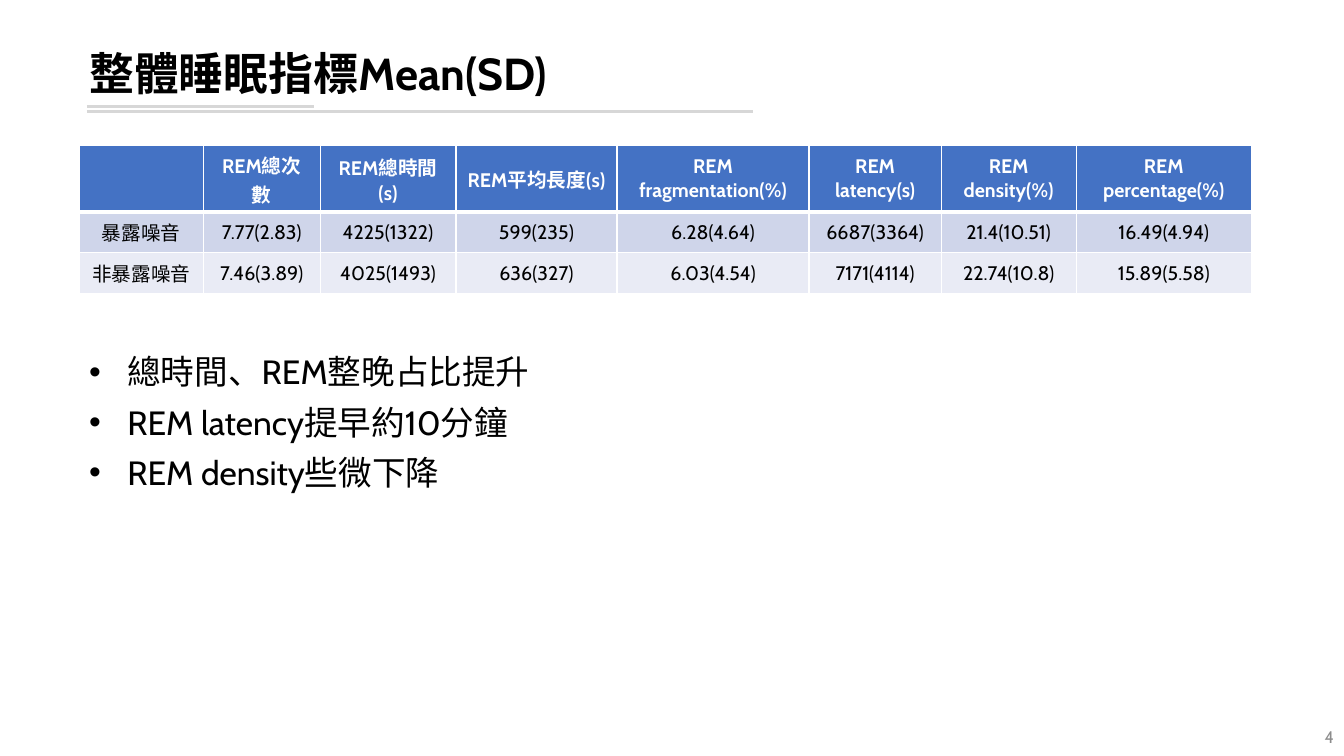
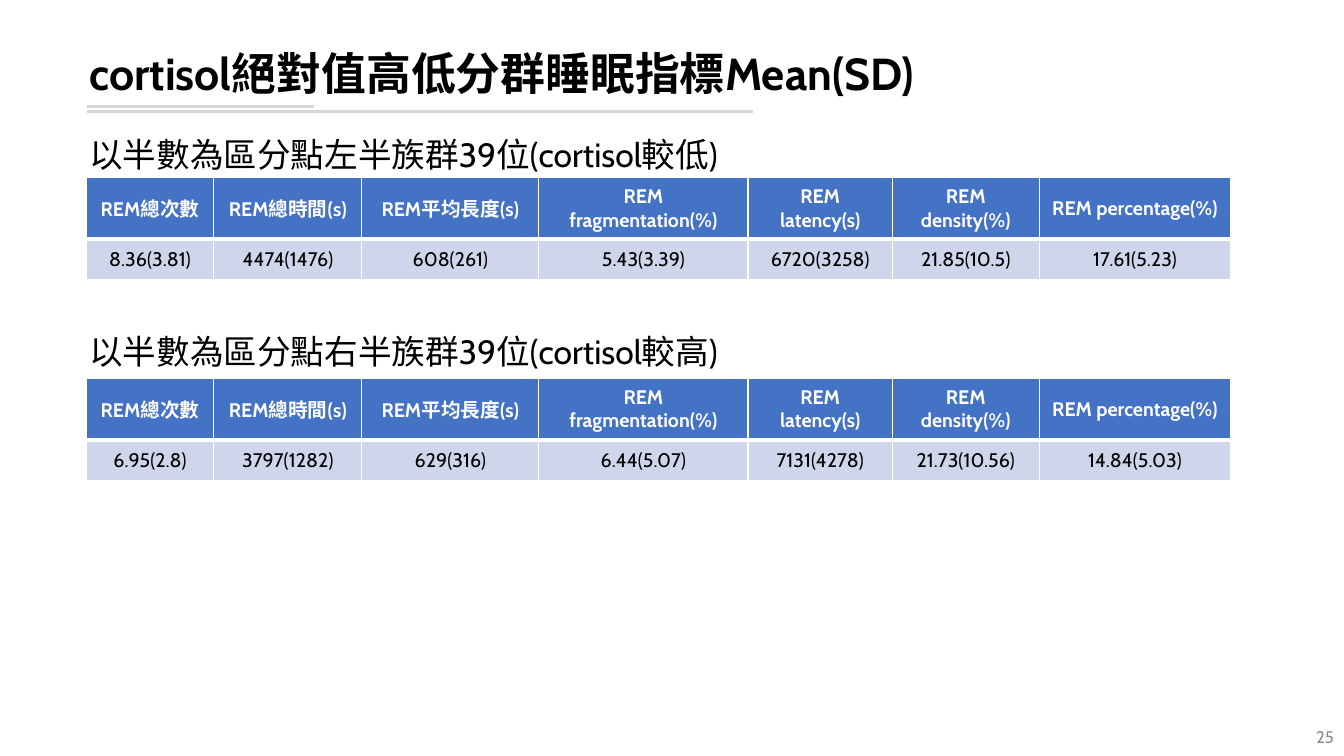
from dataclasses import dataclass

from lxml import etree
from pptx import Presentation
from pptx.dml.color import RGBColor
from pptx.enum.shapes import MSO_CONNECTOR
from pptx.enum.text import MSO_ANCHOR, PP_ALIGN
from pptx.oxml.ns import qn
from pptx.util import Cm, Pt

STRAIGHT = MSO_CONNECTOR.STRAIGHT
TOP, MIDDLE = MSO_ANCHOR.TOP, MSO_ANCHOR.MIDDLE
LEFT, CENTER, RIGHT = PP_ALIGN.LEFT, PP_ALIGN.CENTER, PP_ALIGN.RIGHT


@dataclass(frozen=True)
class Theme:
    font: str = "Cabin"
    ink: str = "000000"
    white: str = "FFFFFF"
    rule: str = "D7D7D7"
    number: str = "8C8C8C"
    header: str = "4472C4"
    bands: tuple = ("CFD5EA", "E9EBF5")
    title_size: int = 32
    body_size: int = 24
    table_size: int = 14
    number_size: int = 12


THEME = Theme()

# Boxes are left, top, width, height in centimetres
SLIDE_WIDTH, SLIDE_HEIGHT = 33.87, 19.05
MARGIN, CONTENT_WIDTH = 2.0, 29.54
TITLE_BOX = (MARGIN, 1.02, CONTENT_WIDTH, 1.8)
NUMBER_BOX = (32.13, 18.06, 1.74, 1.02)
RULE_LEFT = 2.19
RULES = ((2.82, 16.79), (2.68, 5.73))  # top, length

# Header rows hold two lines of text
ROW_HEIGHT = 1.03
OVERALL_HEADER_HEIGHT, GROUP_HEADER_HEIGHT = 1.67, 1.55

METRICS = ("REM總次數", "REM總時間(s)", "REM平均長度(s)", "REM fragmentation(%)",
           "REM latency(s)", "REM density(%)", "REM percentage(%)")

OVERALL_WIDTHS = (3.12, 2.95, 3.42, 4.06, 4.84, 3.33, 3.4, 4.42)
OVERALL_ROWS = (
    ("", *METRICS),
    ("暴露噪音", "7.77(2.83)", "4225(1322)", "599(235)", "6.28(4.64)",
     "6687(3364)", "21.4(10.51)", "16.49(4.94)"),
    ("非暴露噪音", "7.46(3.89)", "4025(1493)", "636(327)", "6.03(4.54)",
     "7171(4114)", "22.74(10.8)", "15.89(5.58)"),
)
FINDINGS = ("總時間、REM整晚占比提升", "REM latency提早約10分鐘", "REM density些微下降")

GROUP_WIDTHS = (3.22, 3.73, 4.46, 5.27, 3.64, 3.7, 4.83)
# Caption top, table top, caption, values
GROUPS = (
    (3.36, 4.47, "以半數為區分點左半族群39位(cortisol較低)",
     ("8.36(3.81)", "4474(1476)", "608(261)", "5.43(3.39)",
      "6720(3258)", "21.85(10.5)", "17.61(5.23)")),
    (8.34, 9.53, "以半數為區分點右半族群39位(cortisol較高)",
     ("6.95(2.8)", "3797(1282)", "629(316)", "6.44(5.07)",
      "7131(4278)", "21.73(10.56)", "14.84(5.03)")),
)


def style_font(para, size, color, bold=False):
    font = para.font
    font.name = THEME.font
    font.size = Pt(size)
    font.bold = bold
    font.color.rgb = RGBColor.from_string(color)


def add_bullet(para, indent):
    properties = para._p.get_or_add_pPr()
    properties.set("marL", str(Cm(indent)))
    properties.set("indent", str(-Cm(indent)))
    etree.SubElement(properties, qn("a:buFont"), typeface="Arial")
    etree.SubElement(properties, qn("a:buChar"), char="•")


def add_text(page, box, lines, size, color=THEME.ink, bold=False, align=LEFT,
             anchor=TOP, line_spacing=0.9, space_before=0, bullet_indent=0):
    frame = page.shapes.add_textbox(*map(Cm, box)).text_frame
    frame.word_wrap = True
    frame.vertical_anchor = anchor
    for index, line in enumerate(lines):
        para = frame.add_paragraph() if index else frame.paragraphs[0]
        para.text = line
        para.alignment = align
        para.line_spacing = line_spacing
        para.space_before = Pt(space_before)
        if bullet_indent:
            add_bullet(para, bullet_indent)
        style_font(para, size, color, bold)


def add_rule(page, left, top, length):
    rule = page.shapes.add_connector(
        STRAIGHT, Cm(left), Cm(top), Cm(left + length), Cm(top))
    rule.line.color.rgb = RGBColor.from_string(THEME.rule)
    rule.line.width = Pt(2.25)
    etree.SubElement(rule._element.spPr, qn("a:effectLst"))


def set_borders(cell, top, bottom):
    properties = cell._tc.get_or_add_tcPr()
    for side, width in (("L", 1), ("R", 1), ("T", top), ("B", bottom)):
        line = etree.SubElement(properties, qn(f"a:ln{side}"), w=str(Pt(width)))
        fill = etree.SubElement(line, qn("a:solidFill"))
        etree.SubElement(fill, qn("a:srgbClr"), val=THEME.white)


def add_metric_table(page, left, top, widths, header_height, rows):
    heights = [header_height] + [ROW_HEIGHT] * (len(rows) - 1)
    table = page.shapes.add_table(
        len(rows), len(widths), Cm(left), Cm(top),
        Cm(sum(widths)), Cm(sum(heights))).table
    for column, width in zip(table.columns, widths):
        column.width = Cm(width)
    for row, height in zip(table.rows, heights):
        row.height = Cm(height)
    for row_index, values in enumerate(rows):
        is_header = row_index == 0
        fill = THEME.header if is_header else THEME.bands[(row_index - 1) % 2]
        for column_index, value in enumerate(values):
            cell = table.cell(row_index, column_index)
            # A thick line parts the header from the values
            set_borders(cell, top=3 if row_index == 1 else 1,
                        bottom=3 if is_header else 1)
            cell.fill.solid()
            cell.fill.fore_color.rgb = RGBColor.from_string(fill)
            cell.vertical_anchor = MIDDLE
            para = cell.text_frame.paragraphs[0]
            para.text = value
            para.alignment = CENTER
            style_font(para, THEME.table_size,
                       THEME.white if is_header else THEME.ink, is_header)


def add_page(deck, title, number):
    """Blank page with the shared rules, title and page number."""
    page = deck.slides.add_slide(deck.slide_layouts[6])
    for top, length in RULES:
        add_rule(page, RULE_LEFT, top, length)
    add_text(page, TITLE_BOX, [title], THEME.title_size, bold=True, anchor=MIDDLE)
    add_text(page, NUMBER_BOX, [str(number)], THEME.number_size, THEME.number,
             align=RIGHT, anchor=MIDDLE, line_spacing=1)
    return page


def add_group(page, left, caption_top, table_top, caption, values):
    """Caption with its table of metrics below."""
    add_text(page, (left, caption_top, CONTENT_WIDTH, table_top - caption_top),
             [caption], THEME.body_size, space_before=10)
    add_metric_table(page, left + 0.17, table_top, GROUP_WIDTHS,
                     GROUP_HEADER_HEIGHT, (METRICS, values))


def build_overall_page(deck):
    page = add_page(deck, "整體睡眠指標Mean(SD)", 4)
    add_metric_table(page, MARGIN, 3.67, OVERALL_WIDTHS,
                     OVERALL_HEADER_HEIGHT, OVERALL_ROWS)
    add_text(page, (MARGIN, 8.84, CONTENT_WIDTH, 9.4), FINDINGS, THEME.body_size,
             space_before=10, bullet_indent=0.96)


def build_group_page(deck):
    page = add_page(deck, "cortisol絕對值高低分群睡眠指標Mean(SD)", 25)
    for group in GROUPS:
        add_group(page, MARGIN, *group)


def main():
    deck = Presentation()
    deck.slide_width, deck.slide_height = Cm(SLIDE_WIDTH), Cm(SLIDE_HEIGHT)
    build_overall_page(deck)
    build_group_page(deck)
    deck.save("out.pptx")


if __name__ == "__main__":
    main()
